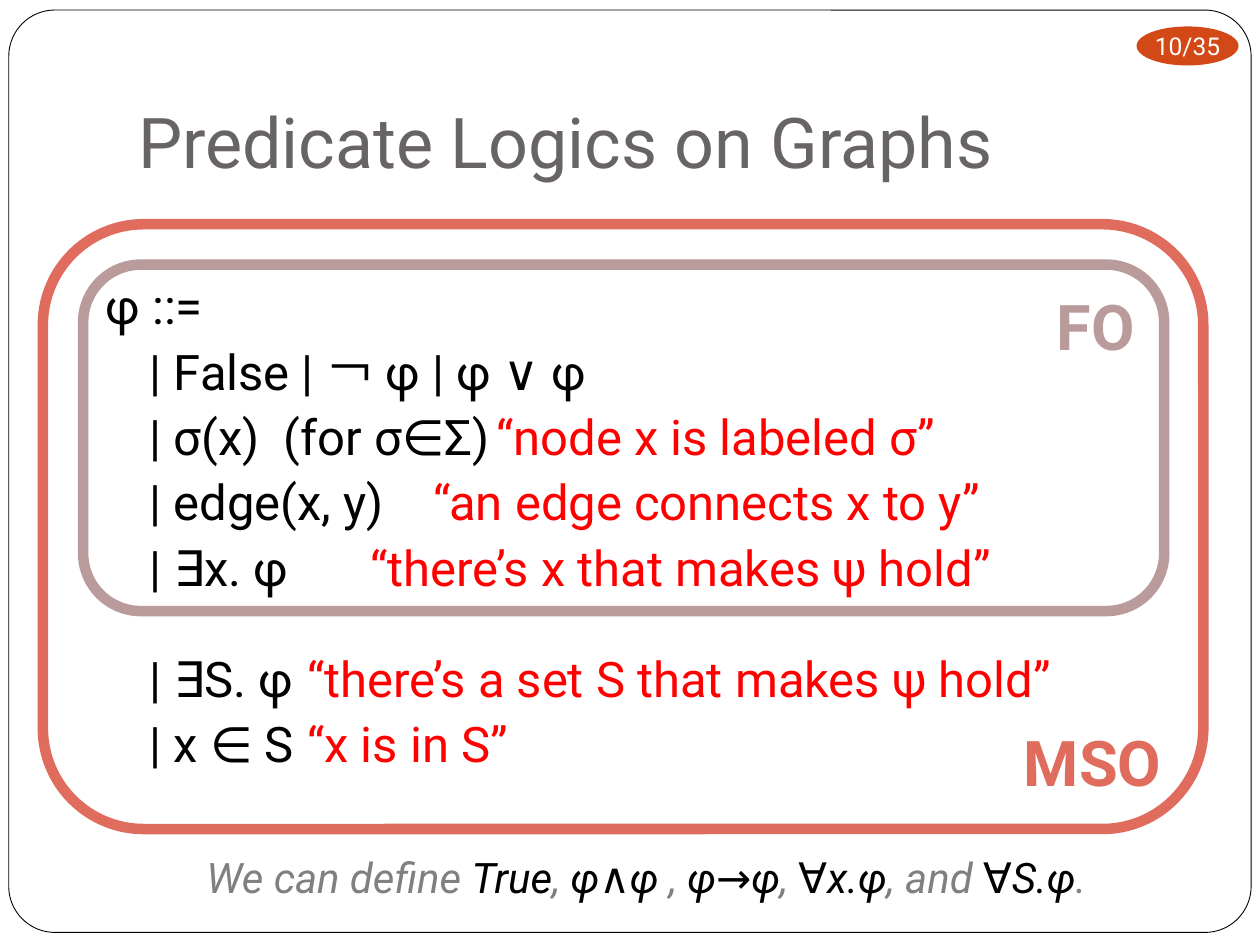
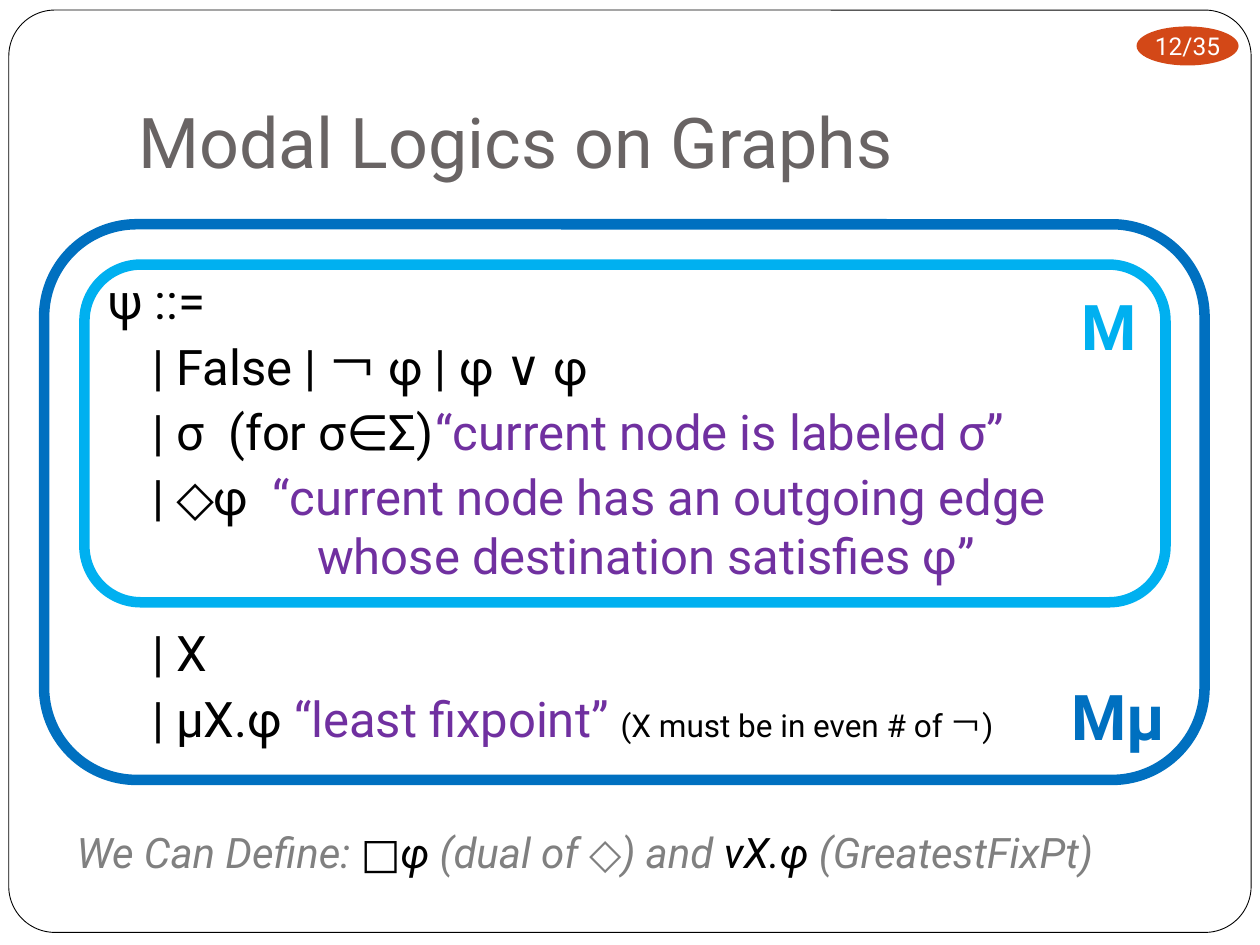
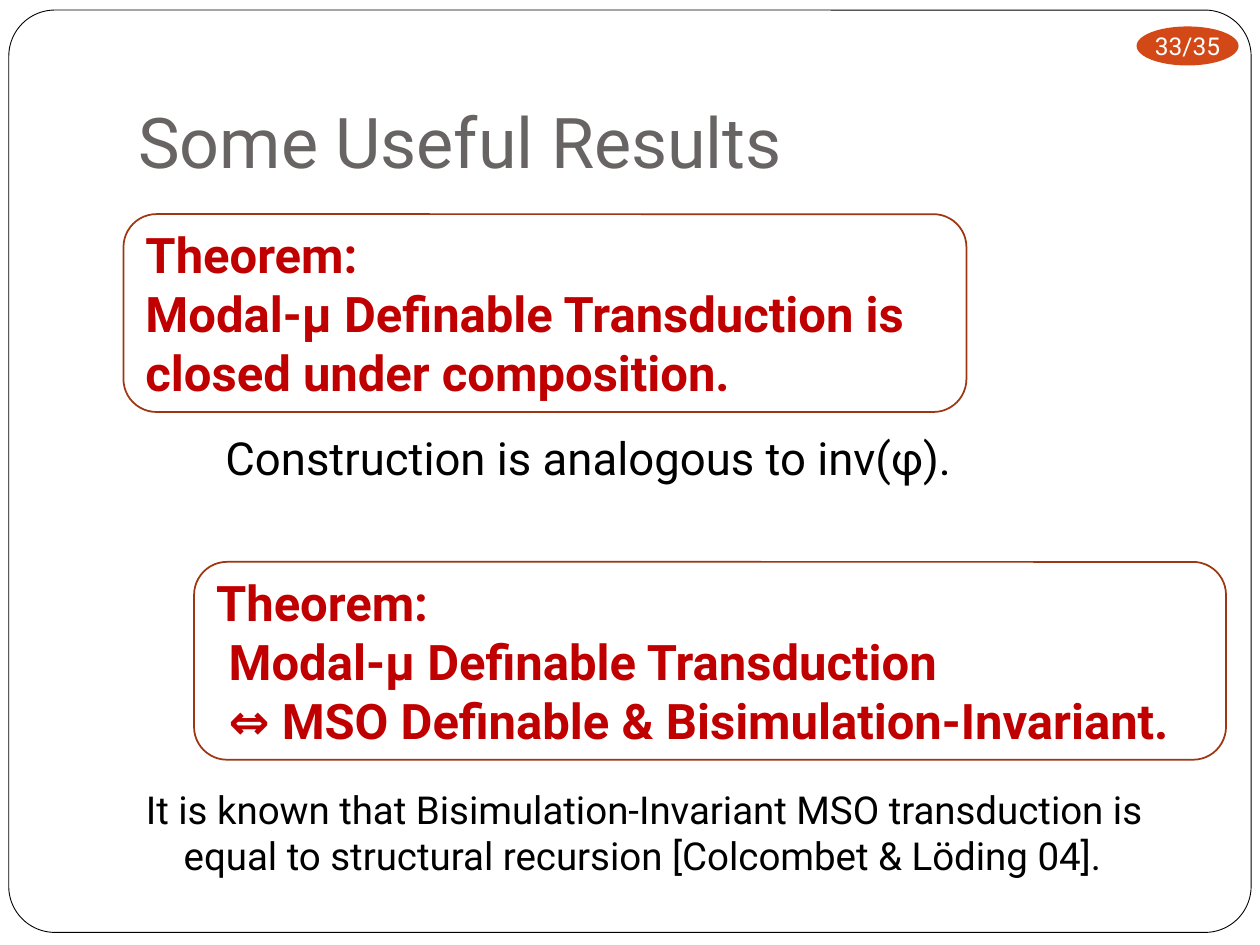
import pptx
import pptx.dml.color
import pptx.enum.shapes
import pptx.enum.text
import pptx.util

Inches = pptx.util.Inches
Pt = pptx.util.Pt
SHAPE = pptx.enum.shapes.MSO_SHAPE
ANCHOR = pptx.enum.text.MSO_ANCHOR
ALIGN = pptx.enum.text.PP_ALIGN

FONT = "Roboto"
SLIDE_COUNT = 35

COLORS = {
    "paper": "FFFFFF",
    "ink": "000000",
    "title": "696464",
    "badge": "D34817",
    "muted": "808080",
    "red": "FF0000",
    "purple": "7030A0",
    "fo": "B99B9B",
    "mso": "DF6C5D",
    "modal": "00B0F0",
    "modal_mu": "0070C0",
    "theorem": "C00000",
    "theorem_edge": "9E3611",
}

TEXT_STYLES = {
    "title": {"size": Pt(40)},
    "badge": {"size": Pt(14)},
    "grammar": {"size": Pt(28)},
    "label": {"size": Pt(36), "bold": True},
    "caption": {"size": Pt(24), "italic": True},
    "theorem": {"size": Pt(28), "bold": True},
    "remark": {"size": Pt(26)},
    "reference": {"size": Pt(22)},
}

# Left margin and first-line indent in inches, space before in points
LINE_FORMATS = {
    "plain": (0, 0, 0),
    "head": (0.3, -0.3, 0),
    "rule": (0.6, -0.25, 3.7),
    "outer_rule": (0.6, -0.25, 30),
    "outer_rule_tight": (0.6, -0.25, 22),
    "continuation": (1.66, 0, 0),
    "theorem_body": (0.1, 0, 0),
}


def rgb(color):
    return pptx.dml.color.RGBColor.from_string(COLORS[color])


def write_lines(frame, lines, style, align=ALIGN.LEFT, **frame_format):
    """Fill a frame with (line format, [(text, colour, optional size)]) lines."""
    for name, value in {"word_wrap": True, **frame_format}.items():
        setattr(frame, name, value)
    for number, (line_format, runs) in enumerate(lines):
        paragraph = frame.add_paragraph() if number else frame.paragraphs[0]
        margin, indent, before = LINE_FORMATS[line_format]
        properties = paragraph._p.get_or_add_pPr()
        properties.set("marL", str(Inches(margin)))
        properties.set("indent", str(Inches(indent)))
        paragraph.alignment = align
        paragraph.space_before = Pt(before)
        for text, color, *size in runs:
            run = paragraph.add_run()
            run.text = text
            font_format = {"name": FONT, **TEXT_STYLES[style]}
            if size:
                font_format["size"] = Pt(size[0])
            for name, value in font_format.items():
                setattr(run.font, name, value)
            run.font.color.rgb = rgb(color)


def add_text(slide, box, lines, style, **frame_format):
    textbox = slide.shapes.add_textbox(*map(Inches, box))
    write_lines(textbox.text_frame, lines, style, **frame_format)


def add_panel(slide, kind, box, fill=None, edge=None, width=1):
    panel = slide.shapes.add_shape(kind, *map(Inches, box))
    panel.shadow.inherit = False
    if fill:
        panel.fill.solid()
        panel.fill.fore_color.rgb = rgb(fill)
    else:
        panel.fill.background()
    if edge:
        panel.line.color.rgb = rgb(edge)
        panel.line.width = Pt(width)
    else:
        panel.line.fill.background()
    return panel


def add_base_slide(deck, number, title):
    """Add a slide with the rounded page frame, page badge and title."""
    slide = deck.slides.add_slide(deck.slide_layouts[6])
    page = add_panel(slide, SHAPE.ROUNDED_RECTANGLE, (0.07, 0.08, 9.86, 7.32),
                     "paper", "ink", 0.5)
    page.adjustments[0] = 0.05
    badge = add_panel(slide, SHAPE.OVAL, (9.02, 0.21, 0.81, 0.31), "badge")
    write_lines(badge.text_frame,
                [("plain", [(f"{number}/{SLIDE_COUNT}", "paper")])], "badge",
                ALIGN.CENTER, word_wrap=False, vertical_anchor=ANCHOR.MIDDLE,
                margin_left=0, margin_right=0, margin_top=0, margin_bottom=0)
    add_text(slide, (1, 0.3, 8.5, 1.25), [("plain", [(title, "title")])],
             "title", vertical_anchor=ANCHOR.BOTTOM, margin_bottom=Inches(0.1))
    return slide


def add_logic_frames(slide, left, inner, outer):
    """Nest two labelled frames, each given as (label, colour, height)."""
    label, color, height = inner
    frame = add_panel(slide, SHAPE.ROUNDED_RECTANGLE,
                      (left + 0.32, 2.1, 8.58, height), edge=color, width=6)
    write_lines(frame.text_frame, [("plain", [(label, color)])], "label",
                ALIGN.RIGHT, vertical_anchor=ANCHOR.TOP)
    label, color, height = outer
    frame = add_panel(slide, SHAPE.ROUNDED_RECTANGLE,
                      (left, 1.78, 9.21, height), edge=color, width=6)
    write_lines(frame.text_frame, [("plain", [(label, color)])], "label",
                ALIGN.RIGHT, vertical_anchor=ANCHOR.BOTTOM,
                margin_top=0, margin_bottom=0)


def add_caption(slide, box, *phrases):
    """Write phrases that alternate between muted text and black formulas."""
    runs = [(phrase, ("muted", "ink")[i % 2]) for i, phrase in enumerate(phrases)]
    add_text(slide, box, [("plain", runs)], "caption")


def add_theorem(slide, box, lines):
    theorem = add_panel(slide, SHAPE.ROUNDED_RECTANGLE, box,
                        "paper", "theorem_edge")
    write_lines(theorem.text_frame,
                [(line_format, [(text, "theorem")]) for line_format, text in lines],
                "theorem", vertical_anchor=ANCHOR.MIDDLE)


def add_predicate_logics(deck):
    slide = add_base_slide(deck, 10, "Predicate Logics on Graphs")
    grammar = [
        ("head", [("φ ::=", "ink")]),
        ("rule", [("| False | ￢ φ | φ ∨ φ", "ink")]),
        ("rule", [("| σ(x)  (for σ∈Σ)\t", "ink"),
                  ("“node x is labeled σ”", "red")]),
        ("rule", [("| edge(x, y)\t", "ink"),
                  ("“an edge connects x to y”", "red")]),
        ("rule", [("| ∃x. φ \t\t", "ink"),
                  ("“there’s x that makes ψ hold”", "red")]),
        ("outer_rule", [("| ∃S. φ \t", "ink"),
                        ("“there’s a set S that makes ψ hold”", "red")]),
        ("rule", [("| x ∈ S\t", "ink"), ("“x is in S”", "red")]),
    ]
    add_text(slide, (0.74, 2.14, 8.99, 4.13), grammar, "grammar")
    add_logic_frames(slide, 0.34, ("FO", "fo", 2.75), ("MSO", "mso", 4.8))
    add_caption(slide, (1.54, 6.71, 8.03, 0.5),
                "We can define ", "True", ", ", "φ∧φ ", ", ", "φ→φ", ", ",
                "∀x.φ", ", and ", "∀S.φ", ".")


def add_modal_logics(deck):
    slide = add_base_slide(deck, 12, "Modal Logics on Graphs")
    grammar = [
        ("head", [("ψ ::=", "ink")]),
        ("rule", [("| False | ￢ φ | φ ∨ φ", "ink")]),
        ("rule", [("| σ  (for σ∈Σ)\t", "ink"),
                  ("“current node is labeled σ”", "purple")]),
        ("rule", [("| ◇φ  ", "ink"),
                  ("“current node has an outgoing edge", "purple")]),
        ("continuation", [("whose destination satisfies φ”", "purple")]),
        ("outer_rule_tight", [("| X", "ink")]),
        ("rule", [("| μX.φ ", "ink"), ("“least fixpoint” ", "purple"),
                  ("(X must be in even # of ￢)", "ink", 18)]),
    ]
    add_text(slide, (0.76, 2.1, 8.5, 4.29), grammar, "grammar")
    add_caption(slide, (0.51, 6.51, 9.29, 0.5),
                "We Can Define: ", "□φ", " (dual of ◇) and ", "νX.φ",
                " (GreatestFixPt)")
    add_logic_frames(slide, 0.35, ("M", "modal", 2.68), ("Mμ", "modal_mu", 4.41))


def add_useful_results(deck):
    slide = add_base_slide(deck, 33, "Some Useful Results")
    add_text(slide, (1.69, 3.36, 6.45, 0.55),
             [("head", [("Construction is analogous to inv(φ).", "ink")])],
             "remark")
    add_theorem(slide, (0.98, 1.7, 6.69, 1.57), [
        ("plain", "Theorem:"),
        ("plain", "Modal-μ Definable Transduction is closed under composition."),
    ])
    add_theorem(slide, (1.54, 4.46, 8.19, 1.57), [
        ("plain", "Theorem:"),
        ("theorem_body", "Modal-μ Definable Transduction"),
        ("theorem_body", "⇔ MSO Definable & Bisimulation-Invariant."),
    ])
    add_text(slide, (1.06, 6.19, 8.74, 1.02),
             [("head", [("It is known that Bisimulation-Invariant MSO transduction "
                         "is equal to structural recursion "
                         "[Colcombet & Löding 04].", "ink")])],
             "reference")


def main():
    deck = pptx.Presentation()
    deck.slide_width = Inches(10)
    deck.slide_height = Inches(7.5)
    add_predicate_logics(deck)
    add_modal_logics(deck)
    add_useful_results(deck)
    deck.save("out.pptx")


if __name__ == "__main__":
    main()
